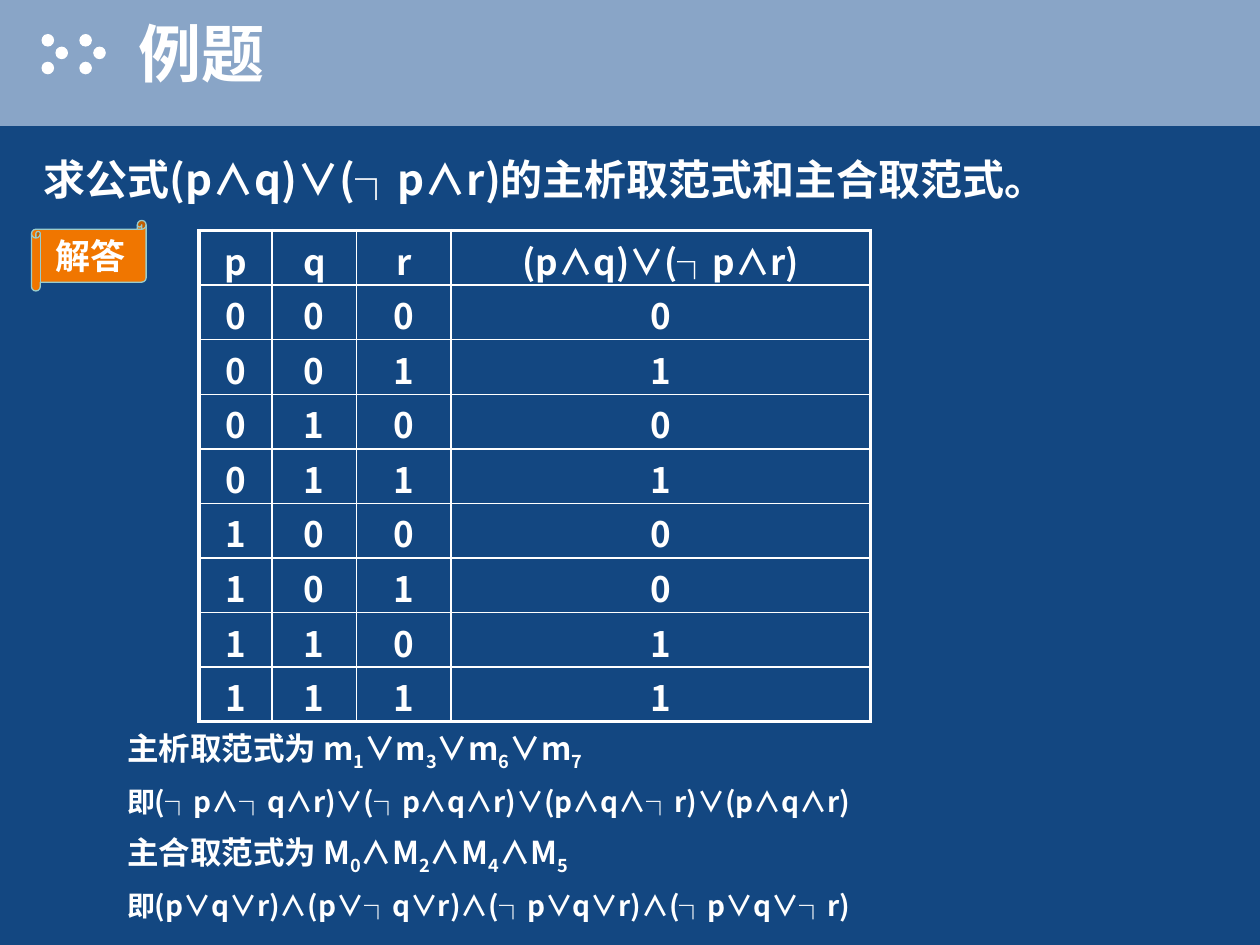
import dataclasses
import itertools

import pptx
import pptx.dml.color
import pptx.enum.shapes
import pptx.enum.text
import pptx.oxml
import pptx.oxml.ns
import pptx.util
from lxml import etree

Inches = pptx.util.Inches
Pt = pptx.util.Pt
Shape = pptx.enum.shapes.MSO_SHAPE
Align = pptx.enum.text.PP_ALIGN
Anchor = pptx.enum.text.MSO_ANCHOR
qn = pptx.oxml.ns.qn


@dataclasses.dataclass(frozen=True)
class Theme:
    back: str = "134781"
    band: str = "89A5C7"
    ink: str = "FFFFFF"
    tag: str = "F07600"
    edge: str = "99CCCC"
    shade: str = "000000"
    font: str = "Noto Sans CJK SC"
    latin: str = "Arial"
    title: int = 36
    lead: int = 24
    cell: int = 20
    body: int = 18
    small: int = 16
    thick: float = 2.25
    thin: float = 1


def color(code):
    return pptx.dml.color.RGBColor.from_string(code)


class Board:
    def __init__(self, deck, theme):
        self.theme = theme
        self.slide = deck.slides.add_slide(deck.slide_layouts[5])
        self.shapes = self.slide.shapes
        fill = self.slide.background.fill
        fill.solid()
        fill.fore_color.rgb = color(theme.back)

    def run(self, para, text, size, font=None, sub=False):
        run = para.add_run()
        run.text = text
        run.font.size = Pt(size)
        run.font.bold = True
        run.font.name = font or self.theme.font
        run.font.color.rgb = color(self.theme.ink)
        props = run.font._element
        etree.SubElement(props, qn("a:ea"), typeface=self.theme.font)
        if sub:
            props.set("baseline", "-25000")
        return run

    def shape(self, kind, box, fill, line=None):
        shape = self.shapes.add_shape(kind, *map(Inches, box))
        shape.shadow.inherit = False
        shape.fill.solid()
        shape.fill.fore_color.rgb = color(fill)
        if line:
            shape.line.color.rgb = color(line)
            shape.line.width = Pt(0.75)
        else:
            shape.line.fill.background()
        return shape

    def title(self, text, box):
        title = self.shapes.title
        title.left, title.top, title.width, title.height = map(Inches, box)
        frame = title.text_frame
        frame.vertical_anchor = Anchor.MIDDLE
        para = frame.paragraphs[0]
        para.alignment = Align.LEFT
        run = self.run(para, text, self.theme.title)
        glow = pptx.oxml.parse_xml(
            f'<a:effectLst {pptx.oxml.ns.nsdecls("a")}>'
            '<a:outerShdw dist="35921" dir="2700000" algn="ctr">'
            f'<a:srgbClr val="{self.theme.shade}"/></a:outerShdw></a:effectLst>'
        )
        run.font._element.find(qn("a:solidFill")).addnext(glow)
        tree = title._element.getparent()
        tree.remove(title._element)
        tree.append(title._element)

    def text(self, box, lines):
        frame = self.shapes.add_textbox(*map(Inches, box)).text_frame
        frame.word_wrap = True
        for i, line in enumerate(lines):
            para = frame.add_paragraph() if i else frame.paragraphs[0]
            props = para._p.get_or_add_pPr()
            props.set("marL", str(Inches(0.38)))
            props.set("indent", str(Inches(-0.38)))
            gap = etree.SubElement(props, qn("a:spcBef"))
            etree.SubElement(gap, qn("a:spcPct"), val="45000")
            for text, size, sub in line:
                self.run(para, text, size, sub=sub)

    def scroll(self, text, box):
        shape = self.shape(Shape.HORIZONTAL_SCROLL, box, self.theme.tag, self.theme.edge)
        frame = shape.text_frame
        frame.word_wrap = False
        frame.vertical_anchor = Anchor.MIDDLE
        para = frame.paragraphs[0]
        para.alignment = Align.CENTER
        self.run(para, text, self.theme.cell, self.theme.latin)

    def border(self, cell, thick):
        props = cell._tc.get_or_add_tcPr()
        for i, side in enumerate("LRTB"):
            width = self.theme.thick if side in thick else self.theme.thin
            line = etree.Element(qn(f"a:ln{side}"), w=str(Pt(width)))
            fill = etree.SubElement(line, qn("a:solidFill"))
            etree.SubElement(fill, qn("a:srgbClr"), val=self.theme.ink)
            props.insert(i, line)

    def table(self, box, widths, rows):
        last, end = len(rows) - 1, len(widths) - 1
        table = self.shapes.add_table(last + 1, end + 1, *map(Inches, box)).table
        table.first_row = table.horz_banding = False
        for col, width in zip(table.columns, widths):
            col.width = Inches(width)
        for r, row in enumerate(rows):
            table.rows[r].height = Inches(box[3] / len(rows))
            for c, text in enumerate(row):
                cell = table.cell(r, c)
                cell.fill.background()
                cell.margin_top = Inches(0.03)
                cell.margin_bottom = 0
                para = cell.text_frame.paragraphs[0]
                para.alignment = Align.CENTER
                self.run(para, text, self.theme.cell)
                sides = {"L": c == 0, "R": c == end, "T": r == 0, "B": r == last}
                self.border(cell, [side for side, on in sides.items() if on])


def terms(head, name, join, marks, size):
    line = [(head, size, False)]
    for i, mark in enumerate(marks):
        line += [(join * bool(i) + name, size, False), (mark, size, True)]
    return line


def main():
    deck = pptx.Presentation()
    deck.slide_width, deck.slide_height = Inches(10), Inches(7.5)
    theme = Theme()
    board = Board(deck, theme)
    board.shape(Shape.RECTANGLE, (0, 0, 10, 1), theme.band)
    for left in (0.33, 0.63):
        for x, y in ((0, 0.27), (0.11, 0.37), (0, 0.49)):
            board.shape(Shape.OVAL, (left + x, y, 0.1, 0.1), theme.ink)
    board.title("例题", (1, 0, 9, 0.83))

    rule = "(p∧q)∨(┐p∧r)"
    board.text((0.25, 1.17, 9.75, 0.5),
               [[(f"求公式{rule}的主析取范式和主合取范式。", theme.lead, False)]])
    board.scroll("解答", (0.25, 1.75, 0.91, 0.56))

    rows = [("p", "q", "r", rule)]
    for p, q, r in itertools.product((0, 1), repeat=3):
        value = (p and q) or (not p and r)
        rows.append([str(int(bit)) for bit in (p, q, r, value)])
    board.table((1.58, 1.83, 5.33, 3.9), (0.58, 0.67, 0.75, 3.33), rows)

    board.text((0.91, 5.74, 7.05, 1.61), [
        terms("主析取范式为 ", "m", "∨", "1367", theme.body),
        [("即(┐p∧┐q∧r)∨(┐p∧q∧r)∨(p∧q∧┐r)∨(p∧q∧r)", theme.small, False)],
        terms("主合取范式为 ", "M", "∧", "0245", theme.body),
        [("即(p∨q∨r)∧(p∨┐q∨r)∧(┐p∨q∨r)∧(┐p∨q∨┐r)", theme.small, False)],
    ])
    deck.save("out.pptx")


if __name__ == "__main__":
    main()
